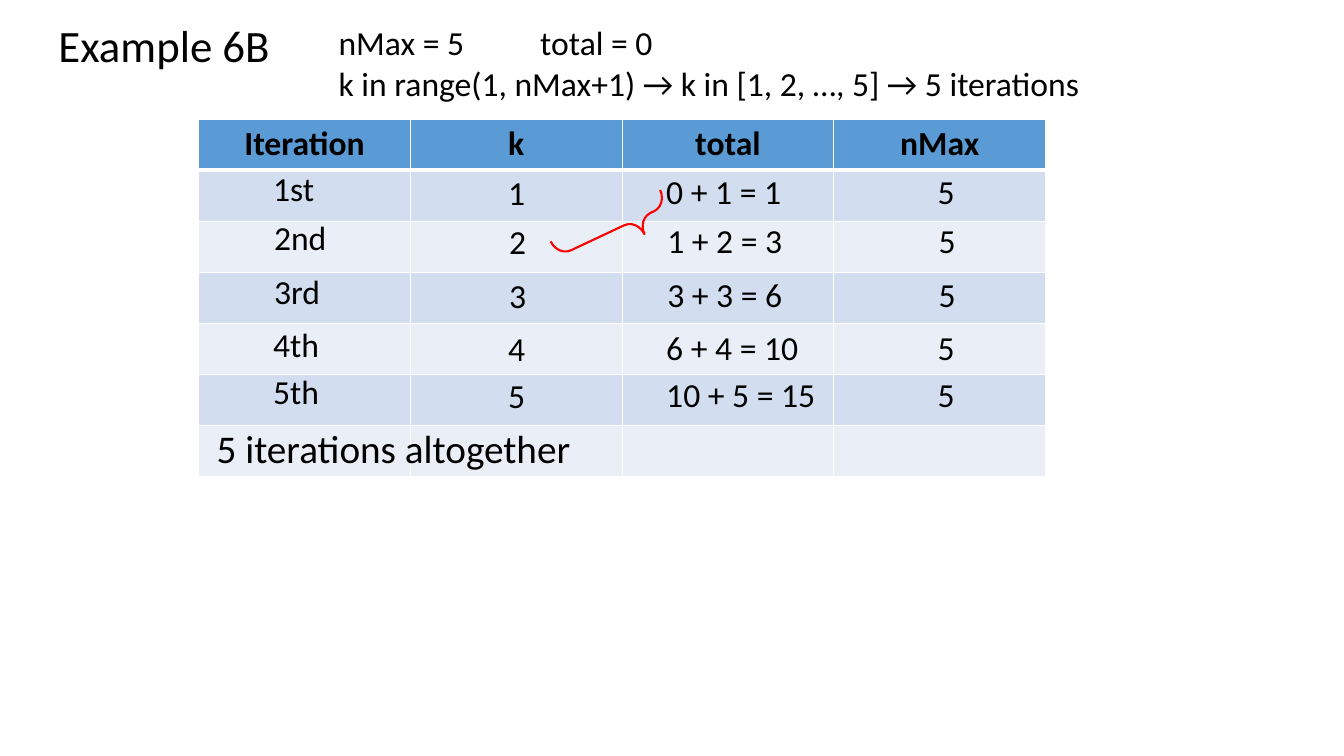
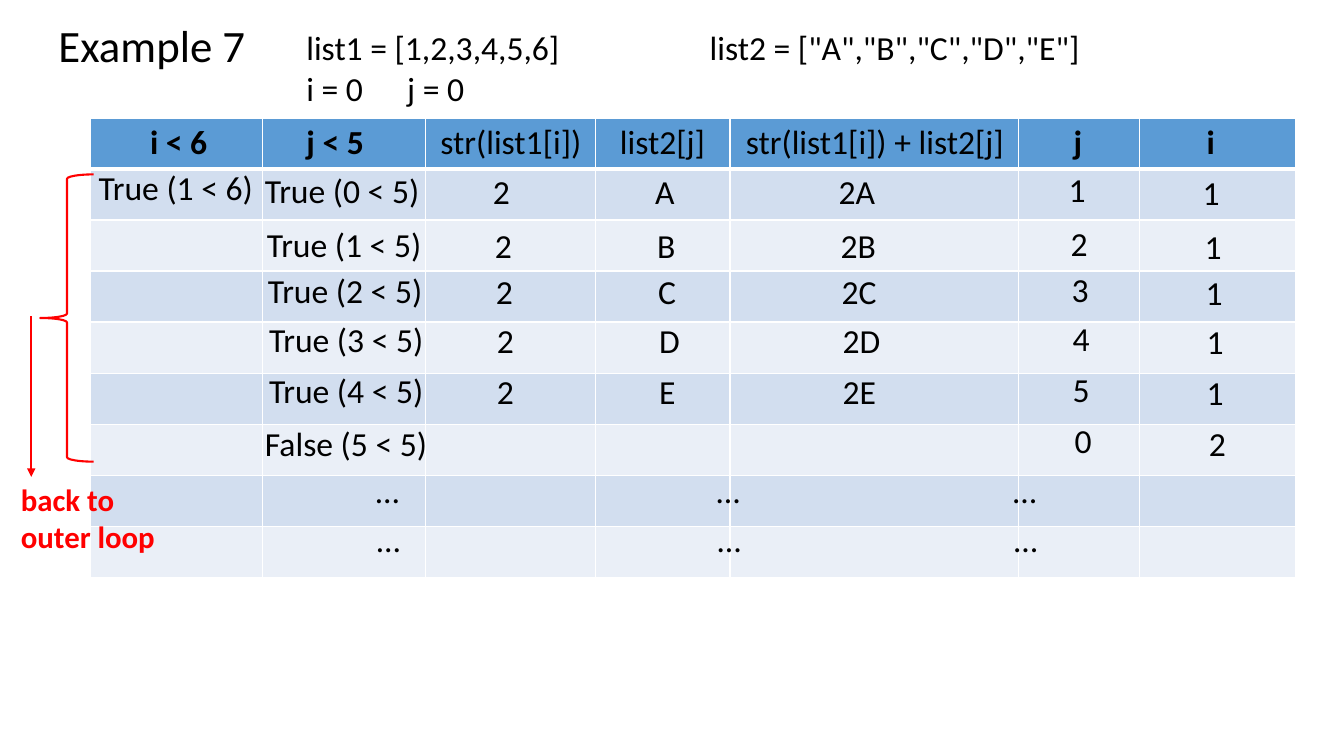
from lxml import etree
from pptx import Presentation
from pptx.dml.color import RGBColor
from pptx.enum.shapes import MSO_CONNECTOR, MSO_SHAPE
from pptx.enum.text import MSO_ANCHOR, MSO_AUTO_SIZE, PP_ALIGN
from pptx.oxml.ns import qn
from pptx.util import Inches, Pt

LEFT, CENTER = PP_ALIGN.LEFT, PP_ALIGN.CENTER
TOP = MSO_ANCHOR.TOP
GROW = MSO_AUTO_SIZE.SHAPE_TO_FIT_TEXT
STRAIGHT = MSO_CONNECTOR.STRAIGHT
LEFT_BRACE, RIGHT_BRACE = MSO_SHAPE.LEFT_BRACE, MSO_SHAPE.RIGHT_BRACE

COLORS = {
    "text": "000000",
    "header": "5B9BD5",
    "odd": "D2DEEF",
    "even": "EAEFF7",
    "rule": "FFFFFF",
    "mark": "FF0000",
}
FONT = "Calibri"
TITLE_ONLY = 5
DIGIT_WIDTH = 0.17  # advance of one digit at 24 pt
LINE_HEIGHT = 0.5


def color(name):
    return RGBColor.from_string(COLORS[name])


def write(frame, text, size=24, bold=False, ink="text", align=LEFT, tabs=()):
    """Fill a text frame, one paragraph per line of text."""
    for number, line in enumerate(text.split("\n")):
        paragraph = frame.add_paragraph() if number else frame.paragraphs[0]
        paragraph.alignment = align
        run = paragraph.add_run()
        run.text = line
        run.font.name = FONT
        run.font.size = Pt(size)
        run.font.bold = bold
        run.font.color.rgb = color(ink)
        if tabs:
            stops = etree.SubElement(paragraph._p.get_or_add_pPr(), qn("a:tabLst"))
            for stop in tabs:
                etree.SubElement(stops, qn("a:tab"), pos=str(Inches(stop)), algn="l")


def rule_below(cell):
    """Draw the thick line under a header cell."""
    line = etree.Element(qn("a:lnB"), w=str(Pt(3)))
    fill = etree.SubElement(line, qn("a:solidFill"))
    etree.SubElement(fill, qn("a:srgbClr"), val=COLORS["rule"])
    cell._tc.get_or_add_tcPr().insert(0, line)


class Deck:
    """House style plus the slide being built."""

    def __init__(self):
        self.file = Presentation()
        self.file.slide_width = Inches(13.33)
        self.file.slide_height = Inches(7.5)
        self.slide = None

    def new_slide(self, heading, width):
        self.slide = self.file.slides.add_slide(self.file.slide_layouts[TITLE_ONLY])
        title = self.slide.shapes.title
        title.left, title.top = Inches(0.48), Inches(0.13)
        title.width, title.height = Inches(width), Inches(0.64)
        frame = title.text_frame
        frame.word_wrap = False
        frame.auto_size = GROW
        frame.vertical_anchor = TOP
        write(frame, heading, size=32)

    def text(self, text, left, top, width, height=LINE_HEIGHT, wrap=False, **style):
        box = self.slide.shapes.add_textbox(
            Inches(left), Inches(top), Inches(width), Inches(height))
        box.text_frame.word_wrap = wrap
        box.text_frame.auto_size = GROW
        write(box.text_frame, text, **style)

    def setup_code(self, text, left, top, width):
        """Starting values, aligned on one-inch tab stops."""
        self.text(text, left, top, width, 0.91, wrap=True, tabs=range(1, 5))

    def table(self, left, top, widths, rows, height, headers=()):
        table = self.slide.shapes.add_table(
            rows, len(widths), Inches(left), Inches(top),
            Inches(sum(widths)), Inches(height)).table
        for column, width in zip(table.columns, widths):
            column.width = Inches(width)
        for number, row in enumerate(table.rows):
            band = ("odd" if number % 2 else "even") if number else "header"
            for cell in row.cells:
                cell.fill.solid()
                cell.fill.fore_color.rgb = color(band)
                if band == "header":
                    rule_below(cell)
        for number, header in enumerate(headers):
            write(table.cell(0, number).text_frame, header, bold=True, align=CENTER)

    def trace(self, rows, columns):
        """Place values: rows are (shift, top), columns (left, drop, width, values)."""
        for left, drop, width, values in columns:
            for (shift, top), value in zip(rows, values):
                extra = DIGIT_WIDTH * (len(value) - len(values[0]))
                self.text(value, left + shift, top + drop, width + extra)

    def brace(self, kind, left, top, width, height, rotation=0, adjust=()):
        brace = self.slide.shapes.add_shape(
            kind, Inches(left), Inches(top), Inches(width), Inches(height))
        brace.shadow.inherit = False
        brace.fill.background()
        brace.line.color.rgb = color("mark")
        brace.line.width = Pt(1.5)
        brace.rotation = rotation
        for number, value in enumerate(adjust):
            brace.adjustments[number] = value

    def arrow(self, x1, y1, x2, y2):
        arrow = self.slide.shapes.add_connector(
            STRAIGHT, Inches(x1), Inches(y1), Inches(x2), Inches(y2))
        arrow.line.color.rgb = color("mark")
        arrow.line.width = Pt(1.5)
        etree.SubElement(arrow.line._get_or_add_ln(), qn("a:tailEnd"), type="triangle")
        etree.SubElement(arrow._element.spPr, qn("a:effectLst"))


def example_6b(deck):
    deck.new_slide("Example 6B", 2.32)
    deck.table(1.97, 1.18, [2.1] * 4, 7, 3.55, ["Iteration", "k", "total", "nMax"])
    deck.setup_code(
        "nMax = 5\ttotal = 0\n"
        "k in range(1, nMax+1) → k in [1, 2, …, 5] → 5 iterations",
        3.26, 0.17, 7.8)

    # Values of each iteration
    rows = [(0, 1.62), (0.01, 2.1), (0.01, 2.64), (0, 3.16), (0, 3.63)]
    sums = ["0 + 1 = 1", "1 + 2 = 3", "3 + 3 = 6", "6 + 4 = 10", "10 + 5 = 15"]
    deck.trace(rows, [
        (2.61, 0, 0.75, ["1st", "2nd", "3rd", "4th", "5th"]),
        (4.94, 0.04, 0.38, "12345"),
        (6.51, 0.03, 1.36, sums),
        (9.2, 0.03, 0.38, "5" * 5),
    ])
    deck.text("5 iterations altogether", 2.05, 4.16, 3.75, 0.57, size=28)

    # Link from k to the running total
    deck.brace(RIGHT_BRACE, 5.91, 1.69, 0.33, 1.2, 64.8, (0.438, 0.273))


def example_7(deck):
    deck.new_slide("Example 7", 2.07)
    deck.table(0.9, 1.17, [1.7, 1.62, 1.69, 1.33, 2.86, 1.2, 1.55], 9, 4.56)
    deck.setup_code(
        'list1 = [1,2,3,4,5,6]\t\tlist2 = ["A","B","C","D","E"]\ni = 0\tj = 0',
        2.94, 0.22, 8.84)

    # Column headings: conditions and counters are bold
    for heading, left, width, bold in [
        ("i < 6", 1.39, 0.78, True),
        ("j < 5", 2.94, 0.78, True),
        ("str(list1[i])", 4.27, 1.62, False),
        ("list2[j]", 6.05, 1.06, False),
        ("str(list1[i]) + list2[j]", 7.3, 2.8, False),
        ("j", 10.55, 0.3, True),
        ("i", 11.87, 0.3, True),
    ]:
        deck.text(heading, left, 1.15, width, bold=bold)

    # Inner loop, ending with the failed test
    rows = [(0, 1.64), (0.02, 2.17), (0.03, 2.63),
            (0.04, 3.11), (0.04, 3.62), (0.06, 4.13)]
    letters = "ABCDE"
    deck.trace(rows, [
        (2.53, 0, 1.76, [f"True ({j} < 5)" for j in range(5)]),
        (4.79, 0.01, 0.38, "2" * 5),
        (6.4, 0.01, 0.43, letters),
        (8.22, 0.01, 0.6, ["2" + letter for letter in letters]),
        (10.5, -0.01, 0.38, "123450"),
        (11.83, 0.02, 0.38, "111112"),
    ])
    deck.text("True (1 < 6)", 0.88, 1.61, 1.76)
    deck.text("False (5 < 5)", 2.53, 4.15, 1.84)

    # Remaining passes
    for shift, top in [(0, 4.61), (0.01, 5.1)]:
        for left in (3.63, 7.01, 9.95):
            deck.text("…", left + shift, top, 0.45)

    # Return to the outer loop
    deck.brace(LEFT_BRACE, 0.4, 1.73, 0.53, 2.85)
    deck.text("back to outer loop", 0.11, 4.72, 1.67, 0.84, wrap=True,
              size=22, bold=True, ink="mark")
    deck.arrow(0.31, 3.14, 0.31, 4.73)


def main():
    deck = Deck()
    example_6b(deck)
    example_7(deck)
    deck.file.save("out.pptx")


if __name__ == "__main__":
    main()
